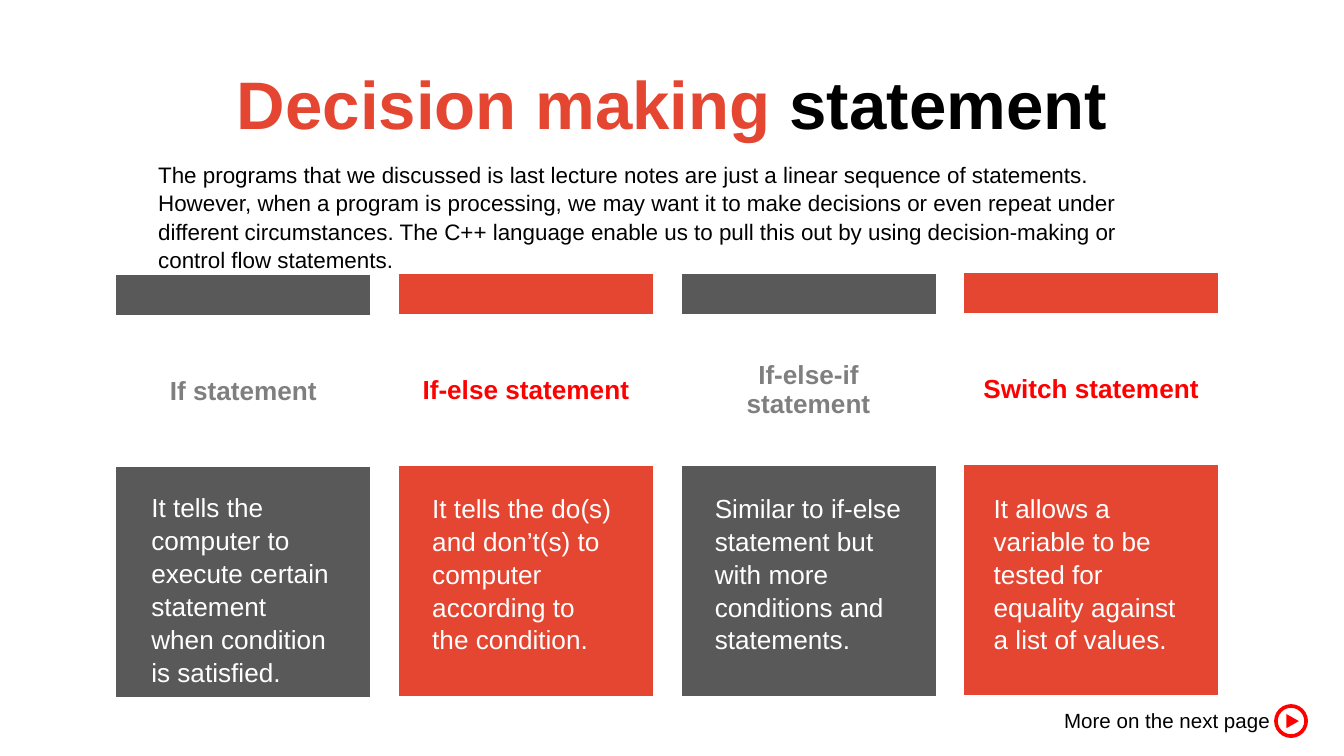
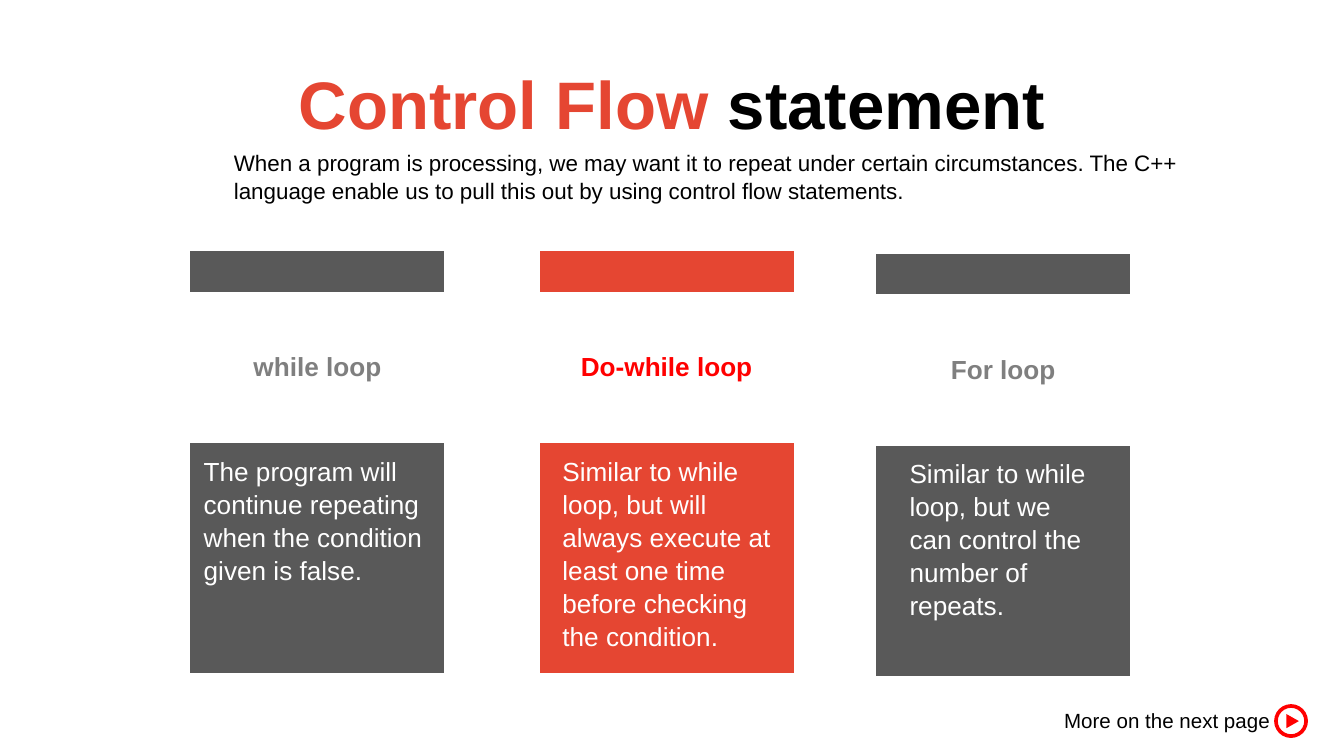
from pptx import Presentation
from pptx.dml.color import RGBColor
from pptx.enum.shapes import MSO_SHAPE
from pptx.enum.text import MSO_ANCHOR, PP_ALIGN
from pptx.util import Cm, Pt

DONUT = MSO_SHAPE.DONUT
MIDDLE = MSO_ANCHOR.MIDDLE
CENTER = PP_ALIGN.CENTER

ORANGE = RGBColor(0xE5, 0x46, 0x32)
DARK = RGBColor(0x59, 0x59, 0x59)
GRAY = RGBColor(0x7F, 0x7F, 0x7F)
RED = RGBColor(0xFF, 0x00, 0x00)
WHITE = RGBColor(0xFF, 0xFF, 0xFF)
BLACK = RGBColor(0x00, 0x00, 0x00)

FONT = "Arial"
NO_GRID_STYLE = "{2D5ABB26-0587-4C30-8999-92F81FD0307C}"
SLIDE_W, SLIDE_H = 25.4, 14.29
CARD_COLS = (0.62, 3.56, 0.62)
CARD_ROWS = (0.75, 2.86, 1.33, 2.1, 0.92)
HEADING_ROW = 1
FULL_WIDTH_ROWS = (0, HEADING_ROW, 4)
SCHEMES = ((DARK, GRAY), (ORANGE, RED))  # card fill, heading colour


def set_font(p, size, color, bold=False):
    p.font.name = FONT
    p.font.size = Pt(size)
    p.font.bold = bold
    p.font.color.rgb = color


def add_text(s, box, lines, size, color, spacing=1.05):
    tf = s.shapes.add_textbox(*map(Cm, box)).text_frame
    tf.word_wrap = True
    for i, line in enumerate(lines):
        p = tf.paragraphs[0] if i == 0 else tf.add_paragraph()
        p.text = line
        p.line_spacing = spacing
        set_font(p, size, color)


def add_title(s, box, accent, rest):
    tf = s.shapes.add_textbox(*map(Cm, box)).text_frame
    tf.word_wrap = True
    tf.vertical_anchor = MIDDLE
    p = tf.paragraphs[0]
    p.alignment = CENTER
    set_font(p, 36, BLACK, bold=True)
    for text, color in ((accent + " ", ORANGE), (rest, BLACK)):
        r = p.add_run()
        r.text = text
        r.font.color.rgb = color


def add_card(s, left, top, heading, scheme):
    """Place a table with a top band, a heading and a filled body."""
    fill, heading_color = scheme
    frame = s.shapes.add_table(
        len(CARD_ROWS), len(CARD_COLS), Cm(left), Cm(top),
        Cm(sum(CARD_COLS)), Cm(sum(CARD_ROWS)))
    table = frame.table
    table.first_row = table.horz_banding = False
    table._tbl.tblPr[0].text = NO_GRID_STYLE
    for column, width in zip(table.columns, CARD_COLS):
        column.width = Cm(width)
    for i, height in enumerate(CARD_ROWS):
        table.rows[i].height = Cm(height)
        for cell in table.rows[i].cells:
            cell.fill.solid()
            cell.fill.fore_color.rgb = WHITE if i == HEADING_ROW else fill
            if i != HEADING_ROW:
                cell.margin_top = cell.margin_bottom = 0
        if i in FULL_WIDTH_ROWS:
            table.cell(i, 0).merge(table.cell(i, len(CARD_COLS) - 1))
    cell = table.cell(HEADING_ROW, 0)
    cell.vertical_anchor = MIDDLE
    p = cell.text_frame.paragraphs[0]
    p.text = heading
    p.alignment = CENTER
    set_font(p, 14, heading_color, bold=True)


def paint(sp, color):
    sp.shadow.inherit = False
    sp.fill.solid()
    sp.fill.fore_color.rgb = color
    sp.line.fill.background()


def add_play_icon(s, left, top, size):
    ring = s.shapes.add_shape(DONUT, Cm(left), Cm(top), Cm(size), Cm(size))
    ring.adjustments[0] = 0.11
    paint(ring, RED)
    x, y = left + 0.36 * size, top + 0.29 * size
    builder = s.shapes.build_freeform(Cm(x), Cm(y))
    builder.add_line_segments([
        (Cm(x + 0.37 * size), Cm(y + 0.21 * size)),
        (Cm(x), Cm(y + 0.42 * size))])
    paint(builder.convert_to_shape(), RED)


def add_footer(s, left, top):
    add_text(s, (left, top, 5, 0.74), ["More on the next page"], 11, BLACK, 1)
    add_play_icon(s, left + 4.22, top + 0.05, 0.64)


def add_statement_slide(prs, accent, intro_box, intro, cards):
    s = prs.slides.add_slide(prs.slide_layouts[6])
    add_title(s, (0, 0.71, SLIDE_W, 2.46), accent, "statement")
    add_text(s, intro_box, [intro], 12, BLACK)
    for i, (left, top, heading, (dx, dy, width), lines) in enumerate(cards):
        add_card(s, left, top, heading, SCHEMES[i % 2])
        add_text(s, (left + dx, top + dy, width, 3.84), lines, 14, WHITE)
    add_footer(s, 19.86, 13.26)


# Each card: left, top, heading, body text offset and width, body lines
DECISION_LEFT, DECISION_PITCH = 2.2, 5.34
DECISION_CARDS = [
    (DECISION_LEFT + i * DECISION_PITCH, *card) for i, card in enumerate([
        (5.2, "If statement", (0.41, 3.94, 3.99),
         ["It tells the computer to execute certain statement when "
          "condition is satisfied."]),
        (5.18, "If-else statement", (0.38, 3.97, 3.89),
         ["It tells the do(s) and don’t(s) to computer according to "
          "the condition."]),
        (5.18, "If-else-if statement", (0.38, 3.97, 4.04),
         ["Similar to if-else statement but with more conditions and "
          "statements."]),
        (5.16, "Switch statement", (0.31, 3.99, 4.14),
         ["It allows a variable to be tested for equality against a list "
          "of values."]),
    ])]

LOOP_CARDS = [
    (3.6, 4.75, "while loop", (0, 3.71, 4.8),
     ["The program will", "continue repeating",
      "when the condition given is false."]),
    (10.2, 4.75, "Do-while loop", (0.18, 3.71, 4.8),
     ["Similar to while loop, but will always execute at least one time "
      "before checking the condition."]),
    (16.56, 4.8, "For loop", (0.38, 3.69, 4.04),
     ["Similar to while loop, but we can control the number of repeats."]),
]


def main():
    prs = Presentation()
    prs.slide_width, prs.slide_height = Cm(SLIDE_W), Cm(SLIDE_H)
    add_statement_slide(
        prs, "Decision making", (2.74, 2.9, 19.91, 3.84),
        "The programs that we discussed is last lecture notes are just a "
        "linear sequence of statements. However, when a program is "
        "processing, we may want it to make decisions or even repeat under "
        "different circumstances. The C++ language enable us to pull this "
        "out by using decision-making or control flow statements.",
        DECISION_CARDS)
    add_statement_slide(
        prs, "Control Flow", (4.17, 2.67, 19.91, 2.82),
        "When a program is processing, we may want it to repeat under "
        "certain circumstances. The C++ language enable us to pull this out "
        "by using control flow statements.",
        LOOP_CARDS)
    prs.save("out.pptx")


if __name__ == "__main__":
    main()
